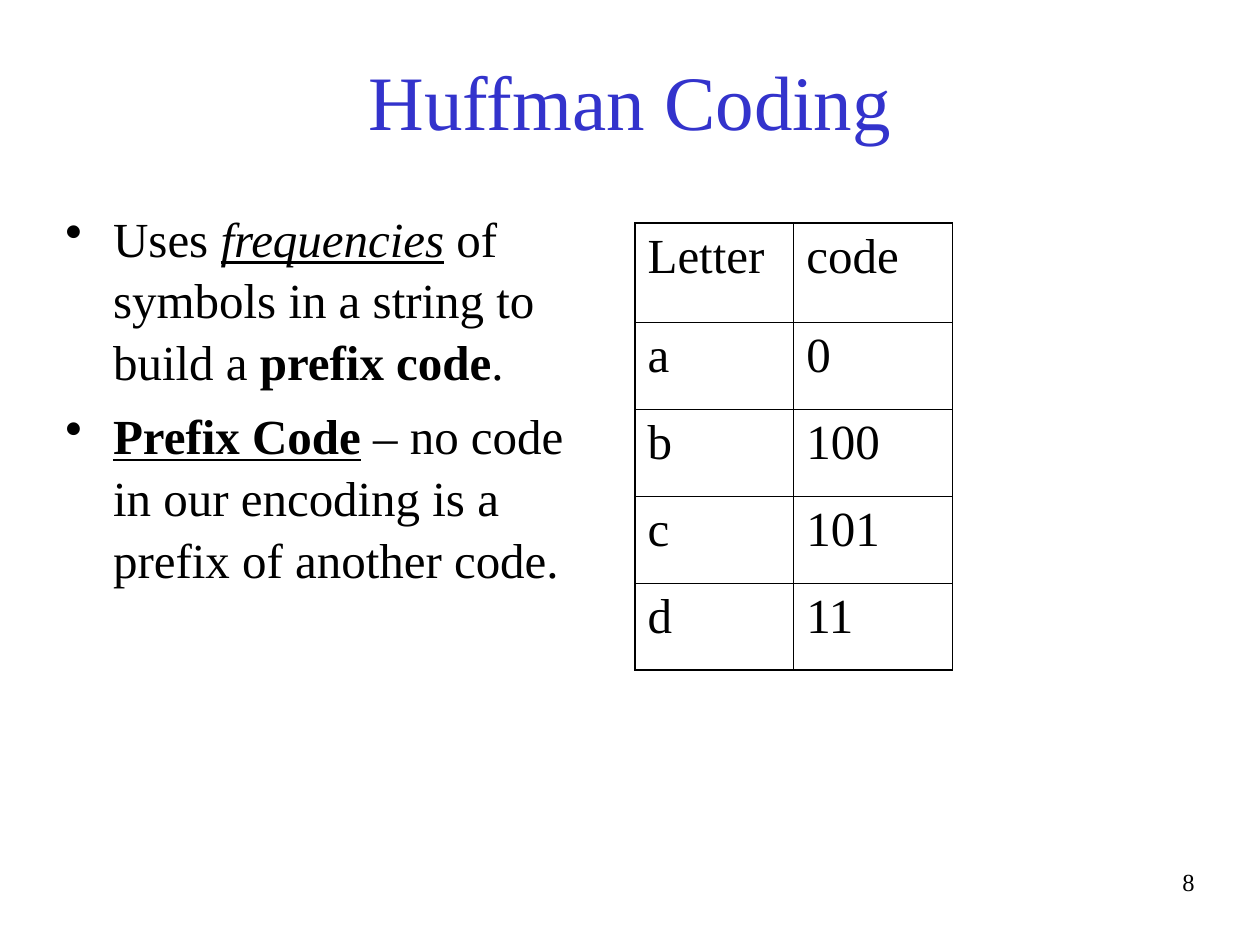
import pptx
import pptx.dml.color
import pptx.enum.text
import pptx.oxml
import pptx.oxml.ns
import pptx.util

COLORS = {"title": "3333CC", "text": "000000"}
FONT = "Times New Roman"
ALIGN = pptx.enum.text.PP_ALIGN
THIN, THICK = 0.45, 1.08


def style(para, size, color="text", align=ALIGN.LEFT, before=0):
    para.font.name = FONT
    para.font.size = pptx.util.Pt(size)
    para.font.color.rgb = pptx.dml.color.RGBColor.from_string(COLORS[color])
    para.alignment = align
    para.space_before = pptx.util.Pt(before)


def element(tag, inner="", **attributes):
    values = "".join(f' {name}="{value}"' for name, value in attributes.items())
    namespace = pptx.oxml.ns.nsdecls("a")
    return pptx.oxml.parse_xml(f"<a:{tag} {namespace}{values}>{inner}</a:{tag}>")


deck = pptx.Presentation()
deck.slide_width = pptx.util.Inches(10)
deck.slide_height = pptx.util.Inches(7.5)
page = deck.slides.add_slide(deck.slide_layouts[5])

title = page.shapes.title
title.left, title.top = pptx.util.Inches(0.75), pptx.util.Inches(0.25)
title.width, title.height = pptx.util.Inches(8.5), pptx.util.Inches(1.08)
title.text_frame.text = "Huffman Coding"
title.text_frame.vertical_anchor = pptx.enum.text.MSO_ANCHOR.MIDDLE
style(title.text_frame.paragraphs[0], 44, "title", ALIGN.CENTER)

bullets = [
    [("Uses ", ""), ("frequencies", "iu"), (" of symbols in a string to build a ", ""),
     ("prefix code", "b"), (".", "")],
    [("Prefix Code", "bu"), (" – no code in our encoding is a prefix of another code.", "")],
]
box = page.shapes.add_textbox(*map(pptx.util.Inches, (0.42, 1.58, 4.46, 5.42)))
box.text_frame.word_wrap = True
for index, spans in enumerate(bullets):
    para = box.text_frame.paragraphs[0] if index == 0 else box.text_frame.add_paragraph()
    style(para, 28, before=7)
    para.line_spacing = 1.05
    for text, marks in spans:
        span = para.add_run()
        span.text = text
        if "b" in marks:
            span.font.bold = True
        if "i" in marks:
            span.font.italic = True
        if "u" in marks:
            span.font.underline = True
    properties = para._p.get_or_add_pPr()
    indent = pptx.util.Inches(0.38)
    properties.set("marL", str(indent))
    properties.set("indent", str(-indent))
    bullet_color = element("buClr", f'<a:srgbClr val="{COLORS["text"]}"/>')
    properties.insert_element_before(bullet_color, "a:defRPr")
    properties.insert_element_before(element("buChar", char="•"), "a:defRPr")

codes = [("Letter", "code"), ("a", "0"), ("b", "100"), ("c", "101"), ("d", "11")]
rows, columns = len(codes), len(codes[0])
frame = page.shapes.add_table(rows, columns, *map(pptx.util.Inches, (5.04, 1.77, 2.52, 3.55)))
table = frame.table
table.first_row = table.horz_banding = False
for row_index, values in enumerate(codes):
    table.rows[row_index].height = pptx.util.Inches(0.79 if row_index == 0 else 0.69)
    for column_index, value in enumerate(values):
        cell = table.cell(row_index, column_index)
        cell.text = value
        style(cell.text_frame.paragraphs[0], 28, before=7)
        outer_edges = {
            "lnL": column_index == 0,
            "lnR": column_index == columns - 1,
            "lnT": row_index == 0,
            "lnB": row_index == rows - 1,
        }
        for edge, outer in outer_edges.items():
            width = pptx.util.Pt(THICK if outer else THIN)
            fill = f'<a:solidFill><a:srgbClr val="{COLORS["text"]}"/></a:solidFill>'
            cell._tc.get_or_add_tcPr().append(element(edge, fill, w=int(width)))
        cell.fill.background()

number = page.shapes.add_textbox(*map(pptx.util.Inches, (7.5, 6.83, 2.08, 0.5)))
number.text_frame.word_wrap = True
number.text_frame.text = "8"
style(number.text_frame.paragraphs[0], 14, align=ALIGN.RIGHT)

deck.save("out.pptx")
